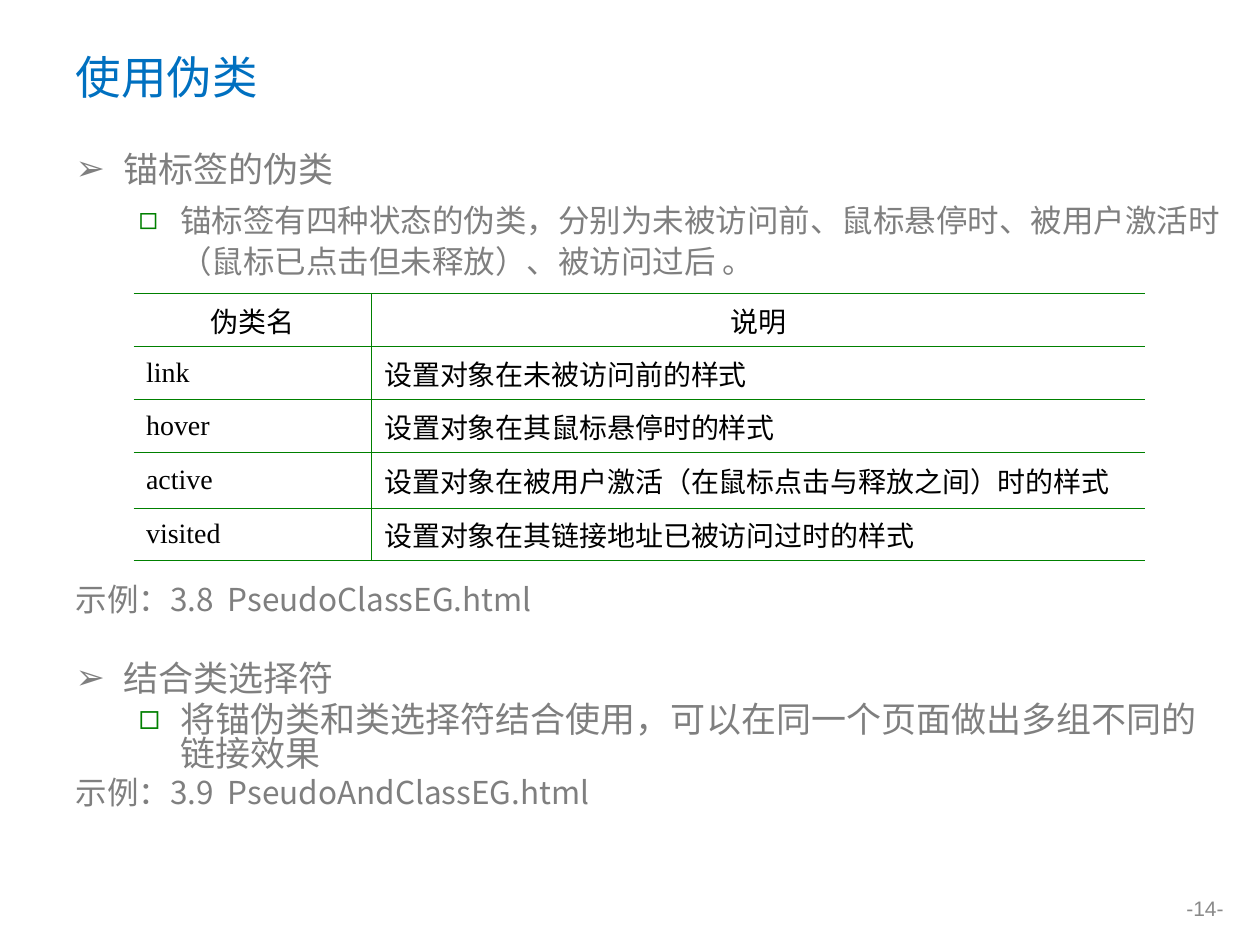
from dataclasses import dataclass

from lxml import etree
from pptx import Presentation
from pptx.dml.color import RGBColor
from pptx.enum import text
from pptx.oxml.ns import qn
from pptx.util import Emu, Pt

PX = 9144


@dataclass(frozen=True)
class Theme:
    cjk: str = "Noto Sans CJK SC"
    serif: str = "Times New Roman"
    sans: str = "Arial"
    blue: str = "0070C0"
    grey: str = "7F7F7F"
    green: str = "008000"
    black: str = "000000"
    page_grey: str = "898989"
    title: int = 26
    topic: int = 20
    detail: int = 18
    cell: int = 16
    page: int = 12


THEME = Theme()


@dataclass(frozen=True)
class Style:
    size: int
    line: float
    level: int = 0
    bullet: str = ""
    bullet_color: str = THEME.grey


TOPIC = Style(THEME.topic, 18.9, bullet="➢")
DETAIL = Style(THEME.detail, 23.7, 1, "◻", THEME.green)
WIDE_DETAIL = Style(THEME.topic, 18.9, 1, "◻", THEME.green)
EXAMPLE = Style(THEME.detail, 17)

OUTLINE = [
    (TOPIC, 0, "锚标签的伪类"),
    (DETAIL, 4.5, "锚标签有四种状态的伪类，分别为未被访问前、鼠标悬停时、被用户激活时"
                  "（鼠标已点击但未释放）、被访问过后 。"),
    (EXAMPLE, 176, "示例：3.8  PseudoClassEG.html"),
    (TOPIC, 27, "结合类选择符"),
    (WIDE_DETAIL, 5, "将锚伪类和类选择符结合使用，可以在同一个页面做出多组不同的链接效果"),
    (EXAMPLE, 4.5, "示例：3.9  PseudoAndClassEG.html"),
]

PSEUDO_CLASSES = [
    ("伪类名", "说明"),
    ("link", "设置对象在未被访问前的样式"),
    ("hover", "设置对象在其鼠标悬停时的样式"),
    ("active", "设置对象在被用户激活（在鼠标点击与释放之间）时的样式"),
    ("visited", "设置对象在其链接地址已被访问过时的样式"),
]


def px(*lengths):
    return [Emu(length * PX) for length in lengths]


def place(shape, box):
    shape.left, shape.top, shape.width, shape.height = px(*box)


def add_run(paragraph, words, face, size, color):
    run = paragraph.add_run()
    run.text = words
    run.font.name = face
    run.font.size = Pt(size)
    run.font.color.rgb = RGBColor.from_string(color)
    east_asian = etree.SubElement(run._r.get_or_add_rPr(), qn("a:ea"))
    east_asian.set("typeface", THEME.cjk)


def set_bullet(paragraph, style):
    properties = paragraph._p.get_or_add_pPr()
    if not style.bullet:
        properties.set("marL", "0")
        properties.set("indent", "0")
        etree.SubElement(properties, qn("a:buNone"))
        return
    margin, hanging = px(*((83, 33) if style.level else (38, 38)))
    properties.set("marL", str(margin))
    properties.set("indent", str(-hanging))
    color = etree.SubElement(properties, qn("a:buClr"))
    etree.SubElement(color, qn("a:srgbClr")).set("val", style.bullet_color)
    etree.SubElement(properties, qn("a:buChar")).set("char", style.bullet)


def set_border(cell, side, width):
    line = etree.SubElement(cell._tc.get_or_add_tcPr(), qn(f"a:ln{side}"))
    line.set("w", str(Pt(width)))
    if width:
        fill = etree.SubElement(line, qn("a:solidFill"))
        etree.SubElement(fill, qn("a:srgbClr")).set("val", THEME.green)
    else:
        etree.SubElement(line, qn("a:noFill"))


def fill_title(heading, box):
    place(heading, box)
    frame = heading.text_frame
    frame.auto_size = text.MSO_AUTO_SIZE.NONE
    frame.vertical_anchor = text.MSO_ANCHOR.MIDDLE
    paragraph = frame.paragraphs[0]
    paragraph.alignment = text.PP_ALIGN.LEFT
    add_run(paragraph, "使用伪类", THEME.cjk, THEME.title, THEME.blue)


def fill_outline(outline, box):
    place(outline, box)
    frame = outline.text_frame
    frame.auto_size = text.MSO_AUTO_SIZE.NONE
    frame.vertical_anchor = text.MSO_ANCHOR.TOP
    frame.margin_left, frame.margin_top, frame.margin_right = px(10, 9, 15)
    for index, (style, before, words) in enumerate(OUTLINE):
        paragraph = frame.add_paragraph() if index else frame.paragraphs[0]
        paragraph.level = style.level
        set_bullet(paragraph, style)
        paragraph.line_spacing = Pt(style.line)
        paragraph.space_before = Pt(before)
        paragraph.space_after = Pt(0)
        add_run(paragraph, words, THEME.cjk, style.size, THEME.grey)


def add_class_table(slide, box):
    rows, columns = len(PSEUDO_CLASSES), len(PSEUDO_CLASSES[0])
    table = slide.shapes.add_table(rows, columns, *px(*box)).table
    table.first_row = table.horz_banding = False
    name_width = 189
    table.columns[0].width, table.columns[1].width = px(name_width, box[2] - name_width)
    for r, entry in enumerate(PSEUDO_CLASSES):
        table.rows[r].height = Emu((44 if entry[0] == "active" else 42) * PX)
        for c, words in enumerate(entry):
            cell = table.cell(r, c)
            cell.vertical_anchor = text.MSO_ANCHOR.MIDDLE
            widths = {
                "L": 0.45 if c else 0,
                "R": 0 if c else 0.45,
                "T": 0.45 if r else 0.75,
                "B": 0.75 if r == rows - 1 else 0.45,
            }
            for side, width in widths.items():
                set_border(cell, side, width)
            cell.fill.background()
            paragraph = cell.text_frame.paragraphs[0]
            paragraph.alignment = text.PP_ALIGN.LEFT if r else text.PP_ALIGN.CENTER
            add_run(paragraph, words, THEME.serif, THEME.cell, THEME.black)


def add_page_number(slide, box):
    frame = slide.shapes.add_textbox(*px(*box)).text_frame
    frame.word_wrap = True
    frame.vertical_anchor = text.MSO_ANCHOR.MIDDLE
    paragraph = frame.paragraphs[0]
    paragraph.alignment = text.PP_ALIGN.RIGHT
    add_run(paragraph, "-14-", THEME.sans, THEME.page, THEME.page_grey)


def main():
    deck = Presentation()
    deck.slide_width, deck.slide_height = px(1000, 750)
    slide = deck.slides.add_slide(deck.slide_layouts[1])
    fill_title(slide.shapes.title, (50, 30, 900, 61))
    fill_outline(slide.placeholders[1], (50, 115, 938, 536))
    add_class_table(slide, (106, 233, 803, 212))
    add_page_number(slide, (910, 706, 71, 29))
    deck.save("out.pptx")


if __name__ == "__main__":
    main()
